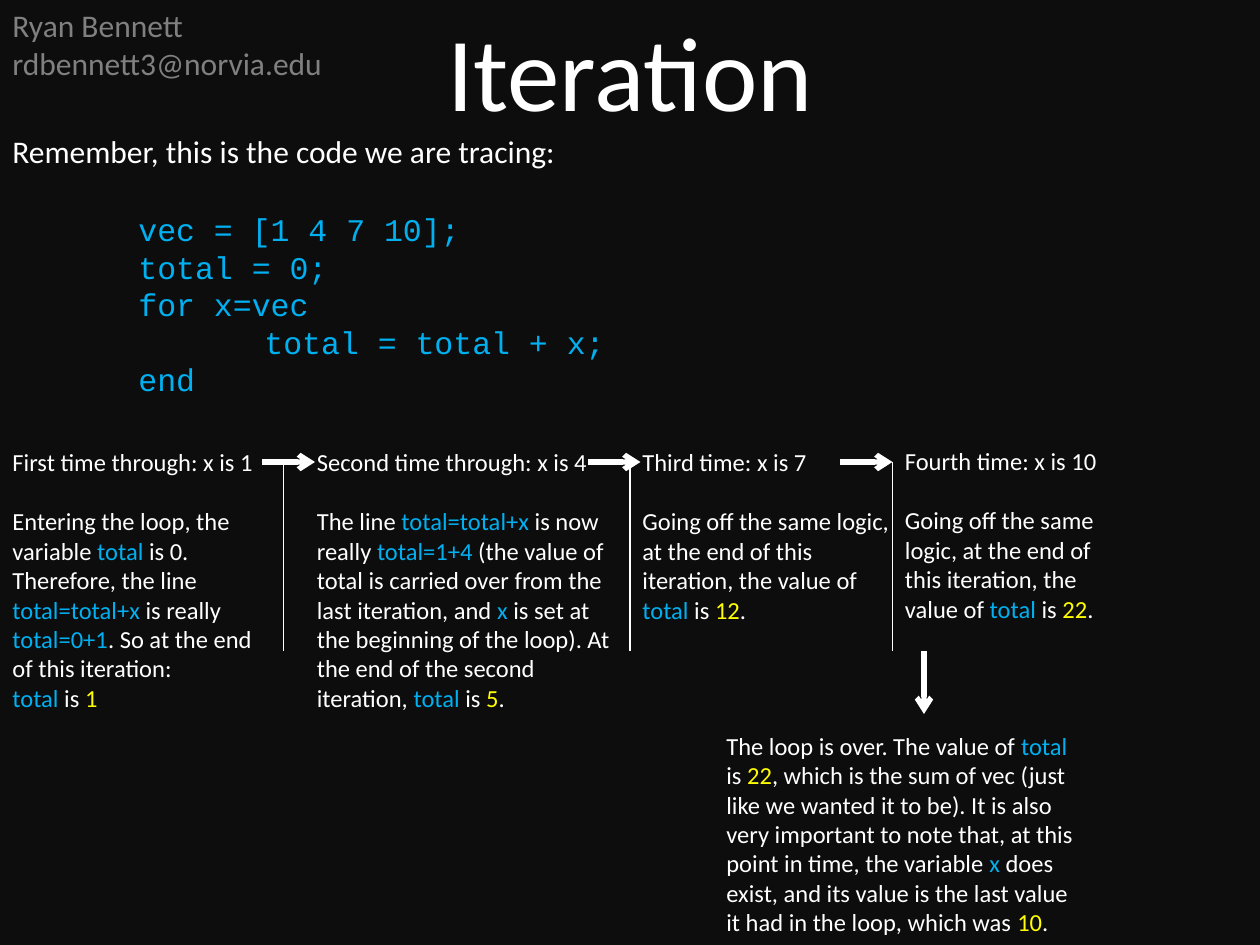
from lxml import etree
from pptx import Presentation, util as u
from pptx.dml import color
from pptx.enum import shapes, text
from pptx.oxml import ns

COLORS = {"background": "0D0D0D", "text": "FFFFFF", "author": "808080",
          "code": "00B0F0", "value": "FFFF00"}
COLUMNS, ROWS = 120, 90
WIDTH, HEIGHT = u.Inches(10), u.Inches(7.5)
DIVIDER_TOP, DIVIDER_BOTTOM = 44, 62

AUTHOR = ["Ryan Bennett", "rdbennett3@norvia.edu"]
CODE = [(1, "vec = [1 4 7 10];"), (1, "total = 0;"), (1, "for x=vec"),
        (2, "total = total + x;"), (1, "end")]
SAME_LOGIC = ("Going off the same logic, at the end of this iteration, "
              "the value of `total` is `{}`.")
PASSES = [
    (0, 42, 27, 26.6, "First time through: x is 1",
     ["Entering the loop, the variable `total` is 0. Therefore, the line "
      "`total=total+x` is really `total=0+1`. So at the end of this iteration:",
      "`total` is `1`"]),
    (29, 42, 31, 26.6, "Second time through: x is 4",
     ["The line `total=total+x` is now really `total=1+4` (the value of total "
      "is carried over from the last iteration, and `x` is set at the beginning "
      "of the loop). At the end of the second iteration, `total` is `5`."]),
    (60, 42, 27, 18.1, "Third time: x is 7", [SAME_LOGIC.format(12)]),
    (85, 41.9, 21, 18.1, "Fourth time: x is 10", [SAME_LOGIC.format(22)]),
]
CONCLUSION = ("The loop is over. The value of `total` is `22`, which is the sum of "
              "vec (just like we wanted it to be). It is also very important to note "
              "that, at this point in time, the variable `x` does exist, and its value "
              "is the last value it had in the loop, which was `10`.")
ARROWS = [(25, 44, 30, 44), (88, 62, 88, 68), (56, 44, 61, 44), (80, 44, 85, 44)]
DIVIDERS = [85, 60, 27]


def across(columns):
    return round(WIDTH * columns / COLUMNS)


def down(rows):
    return round(HEIGHT * rows / ROWS)


def add_run(paragraph, wording, size, tone="text", font="Calibri"):
    run = paragraph.add_run()
    run.text = wording
    run.font.size = u.Pt(size)
    run.font.name = font
    run.font.color.rgb = color.RGBColor.from_string(COLORS[tone])


def add_marked_runs(paragraph, wording, size):
    for index, part in enumerate(wording.split("`")):
        if part:
            tone = "text" if index % 2 == 0 else "value" if part.isdigit() else "code"
            add_run(paragraph, part, size, tone)


def add_frame(slide, left, top, width, height):
    frame = slide.shapes.add_textbox(
        across(left), down(top), across(width), down(height)).text_frame
    frame.word_wrap = True
    return frame


def add_title(slide, wording):
    title = slide.shapes.title
    title.left, title.top, title.width, title.height = 0, 0, WIDTH, down(13.3)
    frame = title.text_frame
    frame.auto_size = text.MSO_AUTO_SIZE.NONE
    frame.vertical_anchor = text.MSO_ANCHOR.TOP
    heading = frame.paragraphs[0]
    heading.alignment = text.PP_ALIGN.CENTER
    add_run(heading, wording, 60)


def add_author(slide):
    frame = add_frame(slide, 0, 0, 34, 8.5)
    for index, wording in enumerate(AUTHOR):
        paragraph = frame.add_paragraph() if index else frame.paragraphs[0]
        add_run(paragraph, wording, 18, "author")


def add_code(slide):
    frame = add_frame(slide, 0, 12, COLUMNS, 30.2)
    intro = frame.paragraphs[0]
    intro.space_after = u.Pt(23)
    add_run(intro, "Remember, this is the code we are tracing:", 18)
    for level, wording in CODE:
        line = frame.add_paragraph()
        line.line_spacing = u.Pt(21.5)
        line._p.get_or_add_pPr().set("marL", str(u.Inches(level)))
        add_run(line, wording, 18, "code", "Courier New")


def add_pass(slide, left, top, width, height, heading, explanation):
    frame = add_frame(slide, left, top, width, height)
    frame.paragraphs[0].space_after = u.Pt(17)
    add_run(frame.paragraphs[0], heading, 14)
    for wording in explanation:
        add_marked_runs(frame.add_paragraph(), wording, 14)


def add_line(slide, start_x, start_y, end_x, end_y, weight, arrow=False):
    line = slide.shapes.add_connector(
        shapes.MSO_CONNECTOR.STRAIGHT, across(start_x), down(start_y),
        across(end_x), down(end_y))
    line.line.width = u.Pt(weight)
    line.line.color.rgb = color.RGBColor.from_string(COLORS["text"])
    if arrow:
        etree.SubElement(line.line._get_or_add_ln(), ns.qn("a:tailEnd"), type="arrow")
    etree.SubElement(line._element.spPr, ns.qn("a:effectLst"))


def main():
    deck = Presentation()
    deck.slide_width, deck.slide_height = WIDTH, HEIGHT
    slide = deck.slides.add_slide(deck.slide_layouts.get_by_name("Title Only"))
    slide.background.fill.solid()
    slide.background.fill.fore_color.rgb = color.RGBColor.from_string(COLORS["background"])

    add_title(slide, "Iteration")
    add_author(slide)
    add_code(slide)
    for loop_pass in PASSES:
        add_pass(slide, *loop_pass)
    conclusion = add_frame(slide, 68, 69, 36, 21)
    add_marked_runs(conclusion.paragraphs[0], CONCLUSION, 14)
    for arrow in ARROWS:
        add_line(slide, *arrow, weight=3, arrow=True)
    for column in DIVIDERS:
        add_line(slide, column, DIVIDER_TOP, column, DIVIDER_BOTTOM, weight=0.75)

    deck.save("out.pptx")


main()
